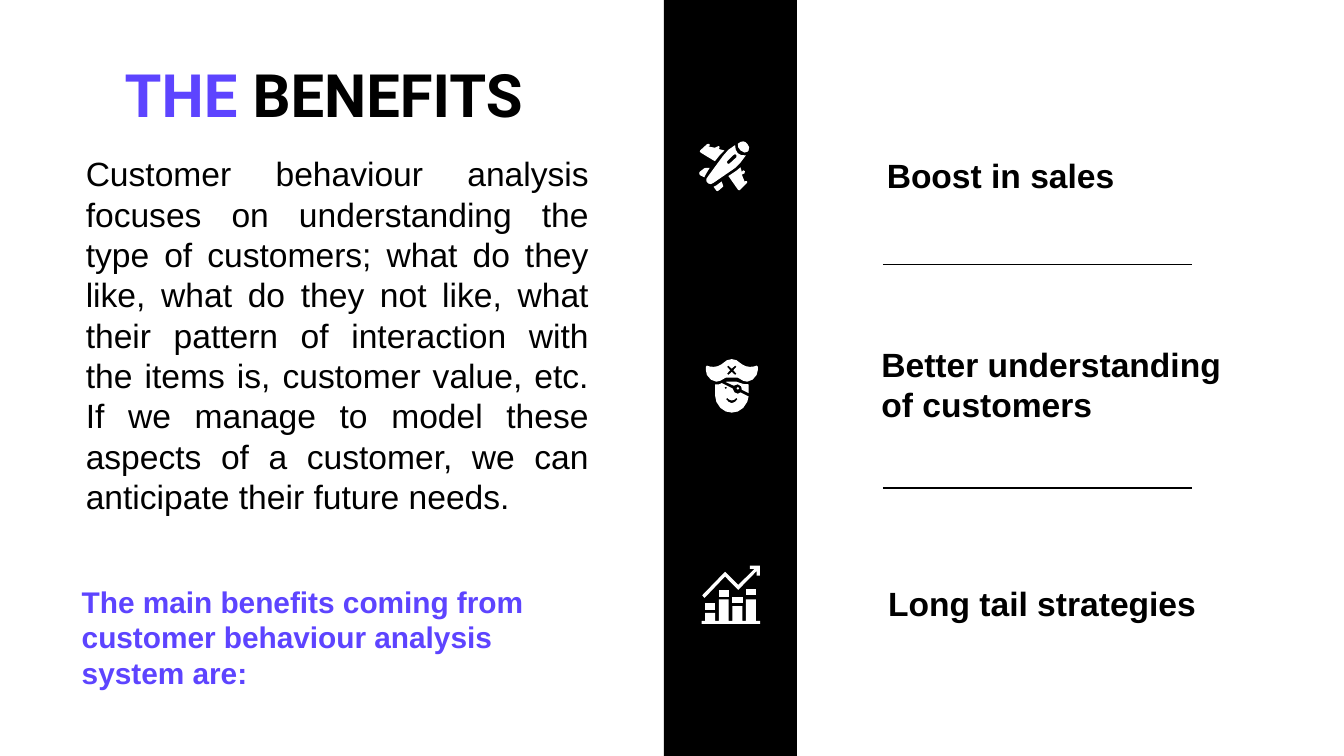
from lxml import etree
from pptx import Presentation
from pptx.dml.color import RGBColor
from pptx.enum.shapes import MSO_CONNECTOR, MSO_SHAPE
from pptx.enum.text import MSO_ANCHOR, PP_ALIGN
from pptx.oxml.ns import qn
from pptx.util import Inches, Pt

LINE = MSO_CONNECTOR.STRAIGHT
RECT = MSO_SHAPE.RECTANGLE
TOP, MIDDLE = MSO_ANCHOR.TOP, MSO_ANCHOR.MIDDLE
LEFT, JUSTIFY = PP_ALIGN.LEFT, PP_ALIGN.JUSTIFY

THEME = {
    "accent": RGBColor(0x5D, 0x44, 0xFF),
    "ink": RGBColor(0, 0, 0),
    "icon": RGBColor(0xFF, 0xFF, 0xFF),
    "title_font": "Roboto",
    "body_font": "Arial",
    "title_size": 32,
    "body_size": 18,
    "lead_size": 16,
    "rule_width": 0.75,
}

WIDTH = 10
HEIGHT = WIDTH * 9 / 16
BAND = (4.94, 0, 0.99, HEIGHT)
RULES_Y = (1.97, 3.63)
RULE_X = (6.57, 8.87)

TITLE = [("THE ", "accent"), ("BENEFITS", "ink")]
BODY = (
    "Customer behaviour analysis focuses on understanding the type of customers; "
    "what do they like, what do they not like, what their pattern of interaction "
    "with the items is, customer value, etc. If we manage to model these aspects "
    "of a customer, we can anticipate their future needs."
)
LEAD = "The main benefits coming from customer behaviour analysis system are:"
BENEFITS = [
    ("Boost in sales", (6.5, 1.05, 2.93, 0.48)),
    ("Better understanding of customers", (6.46, 2.46, 2.93, 0.7)),
    ("Long tail strategies", (6.51, 4.24, 2.91, 0.43)),
]

# Each icon part is a list of closed outlines, in hundredths of an inch from
# the icon's corner; outlines after the first are holes.
PLANE = [
    [[(5, 20), (4, 20.3), (0.5, 23), (0.3, 24.5), (1, 25.5), (4, 27), (5, 25), (8, 20)]],
    [[(31, 19.5), (28, 22), (22, 26), (29, 36), (30, 36.7), (31, 36), (36, 31), (36, 30),
      (35, 29.7), (34, 30), (32, 25), (34, 24), (34.3, 22.5), (33, 21.7), (32, 23)]],
    [[(7, 2), (6, 2.4), (1, 7), (0.8, 8), (2, 9), (12, 15), (16, 10), (19, 7), (15, 6),
      (15.5, 4.5), (15, 3.7), (14, 4), (12, 5), (7, 4), (8, 3.5), (8, 2.3)]],
    [[(17, 30), (13, 33), (11, 34), (13, 36.8), (14, 37.2), (15, 36.6), (18, 34), (18, 33)]],
    [[(33, 0.2), (31, 0.6), (29, 2), (29.2, 4.5), (31, 7), (34, 8.5), (36, 8), (37, 7),
      (37.4, 4.5), (36, 2), (34.5, 0.7)]],
    [[(27, 3), (22, 6.5), (18, 11), (7, 26), (5.7, 28), (5.7, 30), (7, 31.5), (9, 32),
      (11, 31), (27, 20), (31, 16), (35, 10.6), (31.5, 10.4), (29, 9), (27.5, 6.5)],
     [(27, 9.8), (28, 10.3), (28, 12), (23, 16.6), (22, 17), (21, 16.3), (21, 15), (26, 10.2)]],
]
PIRATE = [
    [[(19.5, 0.2), (16, 1), (12, 4), (9, 5.5), (6, 6), (3, 5.7), (1, 5), (0.2, 6), (0.2, 8),
      (1, 12), (4, 15.5), (8, 17), (11, 16.3), (15, 14), (24, 14), (28, 16.3), (31, 17),
      (35, 15.5), (38, 12), (39, 8), (39, 6), (38, 5), (36, 5.7), (33, 6), (30, 5.5), (27, 4), (23, 1)],
     [(17, 5), (19.5, 7.3), (22, 5), (23, 6), (20.7, 8.5), (23, 11), (22, 12), (19.5, 9.8),
      (17, 12), (16, 11), (18.3, 8.5), (16, 6)]],
    [[(12, 18), (10, 19), (7, 19), (7, 27), (8, 32), (11, 36.5), (15, 39.2), (19.5, 40),
      (24, 39.2), (28, 36.5), (31, 32), (32, 28), (26, 25), (24, 26), (21.5, 25), (20, 22)],
     [(15, 20.7), (16, 21.5), (15, 22.5), (14, 21.5)],
     [(16, 29), (17.5, 30.3), (19.5, 31), (21.5, 30.3), (23, 29), (23.7, 30), (22, 32),
      (19.5, 33), (17, 32), (15.3, 30)]],
    [[(16, 17), (15, 17.3), (21, 20), (24, 19), (26.5, 20.5), (27, 23), (32, 25.5),
      (32, 19), (28, 18.7), (23, 17)]],
    [[(24, 21), (25, 22), (24, 23), (23, 22)]],
]


def box(x, y, w, h):
    return [(x, y), (x, y + h), (x + w, y + h), (x + w, y)]


CHART = [[box(x, y, 7.5, 5)] for x, y in ((2.7, 28), (12.8, 18), (23, 23), (33, 17))] + [
    [[(33, 25), (33, 41), (30.3, 41), (30.3, 30), (23, 30), (23, 41), (20.2, 41), (20.2, 25),
      (12.8, 25), (12.8, 41), (10, 41), (10, 35), (2.7, 35), (2.7, 41), (0, 41), (0, 43.3),
      (43.5, 43.3), (43.5, 41), (40.5, 41), (40.5, 25)]],
    [[(36, 0), (36, 2.4), (39.4, 2.4), (27.3, 14.3), (17.5, 4.5), (0.5, 22), (2.2, 24),
      (17.5, 8), (27.3, 18), (41, 4), (41, 7.4), (43.5, 7.4), (43.5, 0)]],
]
ICONS = [(PLANE, 5.2, 1.05), (PIRATE, 5.25, 2.67), (CHART, 5.22, 4.21)]


def paint(sp, color):
    sp.fill.solid()
    sp.fill.fore_color.rgb = THEME[color]
    sp.line.fill.background()
    sp.shadow.inherit = False


def add_text(s, at, runs, size, font="body_font", bold=True, align=LEFT, anchor=TOP, spacing=None):
    """Add a wrapped one-paragraph box; runs are (text, theme colour) pairs."""
    tf = s.shapes.add_textbox(*map(Inches, at)).text_frame
    tf.word_wrap = True
    tf.vertical_anchor = anchor
    tf.margin_left = tf.margin_right = tf.margin_top = tf.margin_bottom = Inches(0.1)
    p = tf.paragraphs[0]
    p.alignment = align
    p.line_spacing = spacing
    p.font.name, p.font.size, p.font.bold = THEME[font], Pt(THEME[size]), bold
    for text, color in runs:
        r = p.add_run()
        r.text = text
        r.font.color.rgb = THEME[color]


def add_rule(s, y):
    line = s.shapes.add_connector(LINE, Inches(RULE_X[0]), Inches(y), Inches(RULE_X[1]), Inches(y))
    line.line.color.rgb = THEME["ink"]
    line.line.width = Pt(THEME["rule_width"])
    etree.SubElement(line._element.spPr, qn("a:effectLst"))


def add_icon(s, parts, x, y):
    group = s.shapes.add_group_shape()
    for outlines in parts:
        # The builder rounds to whole units, so work in thousandths of an inch.
        scaled = [[(px * 10, py * 10) for px, py in outline] for outline in outlines]
        first, *holes = scaled
        builder = group.shapes.build_freeform(*first[0], scale=Inches(1) / 1000)
        builder.add_line_segments(first[1:])
        for hole in holes:
            builder.move_to(*hole[0])
            builder.add_line_segments(hole[1:])
        paint(builder.convert_to_shape(Inches(x), Inches(y)), "icon")


def main():
    prs = Presentation()
    prs.slide_width, prs.slide_height = Inches(WIDTH), Inches(HEIGHT)
    s = prs.slides.add_slide(prs.slide_layouts[6])

    add_text(s, (0.83, 0.45, 3.8, 0.6), TITLE, "title_size", "title_font", anchor=MIDDLE, spacing=0.8)
    for text, at in BENEFITS:
        add_text(s, at, [(text, "ink")], "body_size")
    for y in RULES_Y:
        add_rule(s, y)
    paint(s.shapes.add_shape(RECT, *map(Inches, BAND)), "ink")
    add_text(s, (0.54, 1.04, 3.94, 3.21), [(BODY, "ink")], "body_size", bold=False, align=JUSTIFY)
    add_text(s, (0.51, 4.24, 4, 0.89), [(LEAD, "accent")], "lead_size")
    for parts, x, y in ICONS:
        add_icon(s, parts, x, y)

    prs.save("out.pptx")


if __name__ == "__main__":
    main()
